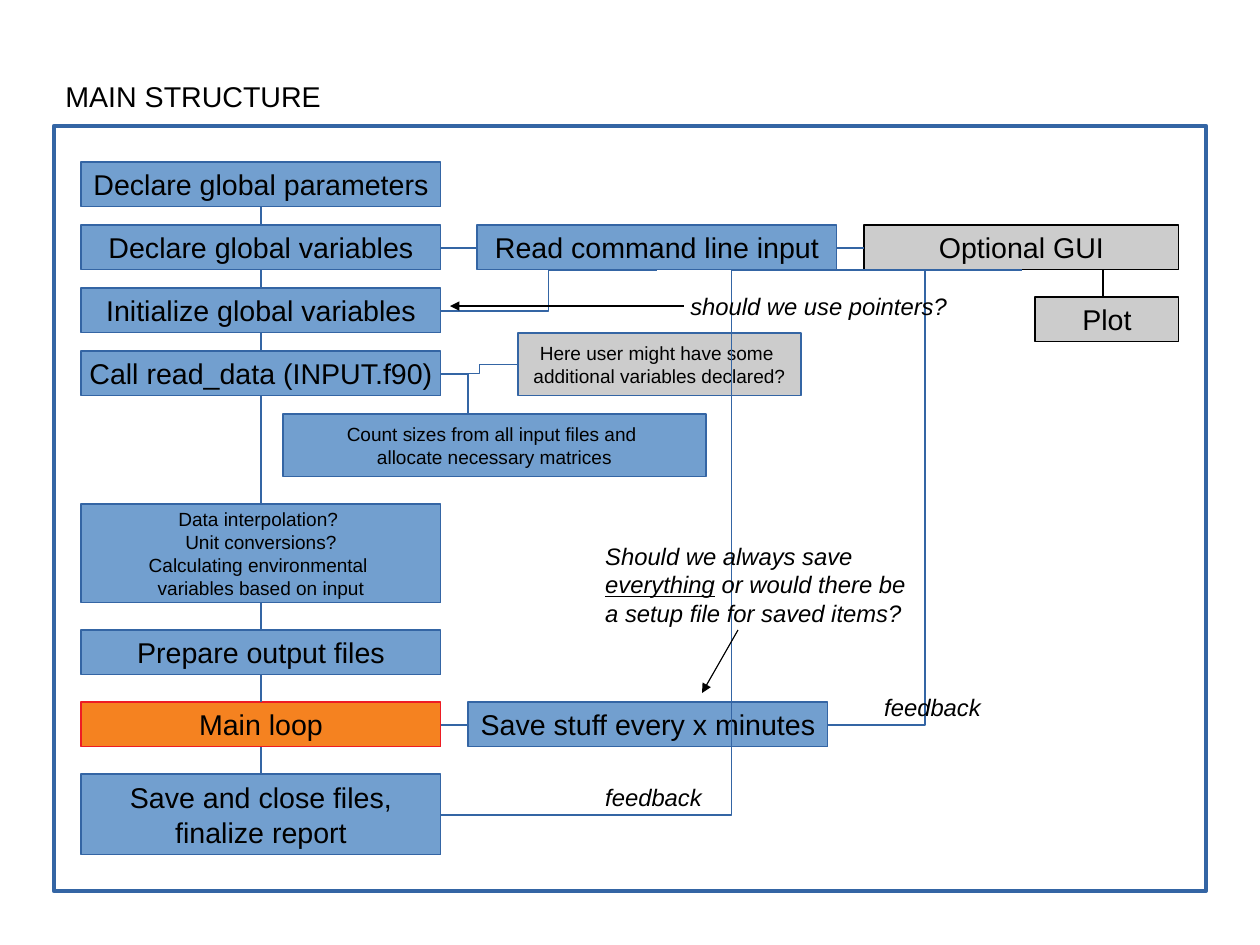
from dataclasses import dataclass

from lxml import etree
from pptx import Presentation
from pptx import util as u
from pptx.dml.color import RGBColor
from pptx.enum import shapes, text
from pptx.oxml import ns

PIXEL = 8000  # EMU per pixel


@dataclass(frozen=True)
class Theme:
    font: str = "Arial"
    ink: RGBColor = RGBColor(0x00, 0x00, 0x00)
    blue: RGBColor = RGBColor(0x72, 0x9F, 0xCF)
    edge: RGBColor = RGBColor(0x34, 0x65, 0xA4)
    grey: RGBColor = RGBColor(0xCC, 0xCC, 0xCC)
    orange: RGBColor = RGBColor(0xF5, 0x82, 0x20)
    red: RGBColor = RGBColor(0xED, 0x1C, 0x24)
    large: int = 18
    note: int = 15
    small: int = 12
    thin: float = 0.75
    thick: float = 2.83


theme = Theme()


def write(frame, words, size=theme.large, align=text.PP_ALIGN.LEFT,
          anchor=text.MSO_ANCHOR.TOP, wrap=True, italic=False, underlined=None):
    """Fill a text frame, one paragraph per line, underlining one word if given."""
    frame.word_wrap = wrap
    frame.auto_size = text.MSO_AUTO_SIZE.NONE
    frame.vertical_anchor = anchor
    for index, line in enumerate(words.split("\n")):
        para = frame.add_paragraph() if index else frame.paragraphs[0]
        para.alignment = align
        for part in line.partition(underlined) if underlined else [line]:
            # A vertical tab marks a line break inside the paragraph
            for number, piece in enumerate(part.split("\v")):
                if number:
                    para.add_line_break()
                span = para.add_run()
                span.text = piece
                span.font.name = theme.font
                span.font.size = u.Pt(size)
                span.font.italic = italic
                span.font.underline = part == underlined
                span.font.color.rgb = theme.ink


def connect(start, end, color=theme.edge, arrow=False):
    """Join two points, with an elbow when they share no row or column."""
    level = start[0] == end[0] or start[1] == end[1]
    kind = shapes.MSO_CONNECTOR.STRAIGHT if level or arrow else shapes.MSO_CONNECTOR.ELBOW
    line = page.shapes.add_connector(kind, *(value * PIXEL for value in (*start, *end)))
    line.line.color.rgb = color
    line.line.width = u.Pt(theme.thin)
    if arrow:
        outline = line.line._get_or_add_ln()
        etree.SubElement(outline, ns.qn("a:tailEnd"), type="triangle")
    etree.SubElement(line._element.spPr, ns.qn("a:effectLst"))


# Page and title
deck = Presentation()
deck.slide_width, deck.slide_height = 1260 * PIXEL, 945 * PIXEL
page = deck.slides.add_slide(deck.slide_layouts[5])
title = page.shapes.title
title.left, title.top, title.width, title.height = (
    value * PIXEL for value in (54, 73, 369, 53))
write(title.text_frame, "MAIN STRUCTURE")

# Outer frame
border = page.shapes.add_shape(
    shapes.MSO_SHAPE.RECTANGLE, *(value * PIXEL for value in (54, 126, 1152, 765)))
border.shadow.inherit = False
border.fill.background()
border.line.color.rgb = theme.edge
border.line.width = u.Pt(theme.thick)

# Main column: words, top, height, type size
LEFT, WIDE, ROW = 81, 360, 45
RIGHT, CENTRE = LEFT + WIDE, LEFT + WIDE // 2
steps = [
    ("Declare global parameters", 162, ROW, theme.large),
    ("Declare global variables", 225, ROW, theme.large),
    ("Initialize global variables", 288, ROW, theme.large),
    ("Call read_data (INPUT.f90)", 351, ROW, theme.large),
    ("Data interpolation? \nUnit conversions?\nCalculating environmental \n"
     "variables based on input", 504, 99, theme.small),
    ("Prepare output files", 630, ROW, theme.large),
    ("Main loop", 702, ROW, theme.large),
    ("Save and close files,\vfinalize report", 774, 81, theme.large),
]

# All boxes: words, left, top, width, height, type size, fill, outline
boxes = [(words, LEFT, top, WIDE, height, size,
          *((theme.orange, theme.red) if words == "Main loop" else (theme.blue, theme.edge)))
         for words, top, height, size in steps]
boxes += [
    ("Read command line input", 477, 225, WIDE, ROW, theme.large, theme.blue, theme.edge),
    ("Save stuff every x minutes", 468, 702, WIDE, ROW, theme.large, theme.blue, theme.edge),
    ("Here user might have some \nadditional variables declared?",
     518, 333, 283, 63, theme.small, theme.grey, theme.edge),
    ("Count sizes from all input files and \nallocate necessary matrices",
     283, 414, 423, 63, theme.small, theme.blue, theme.edge),
    ("Optional GUI", 864, 225, 315, ROW, theme.large, theme.grey, theme.ink),
    ("Plot", 1035, 297, 144, ROW, theme.large, theme.grey, theme.ink),
]
for words, left, top, width, height, size, fill, outline in boxes:
    box = page.shapes.add_shape(
        shapes.MSO_SHAPE.RECTANGLE, *(value * PIXEL for value in (left, top, width, height)))
    box.shadow.inherit = False
    box.fill.solid()
    box.fill.fore_color.rgb = fill
    box.line.color.rgb = outline
    box.line.width = u.Pt(theme.thin)
    write(box.text_frame, words, size, text.PP_ALIGN.CENTER, text.MSO_ANCHOR.MIDDLE, wrap=False)

# Links down the main column
for (_, top, height, _), (_, following, _, _) in zip(steps, steps[1:]):
    connect((CENTRE, top + height), (CENTRE, following))

# Links to the side boxes and feedback loops
for start, end in [
    ((RIGHT, 248), (477, 248)),
    ((657, 270), (RIGHT, 311)),
    ((RIGHT, 374), (518, 365)),
    ((RIGHT, 374), (495, 414)),
    ((837, 248), (864, 248)),
    ((RIGHT, 725), (468, 725)),
    ((RIGHT, 815), (1022, 270)),
    ((828, 725), (1022, 270)),
]:
    connect(start, end)
connect((1103, 270), (1103, 297), theme.ink)

# Arrows from the questions
connect((684, 306), (450, 306), theme.ink, arrow=True)
connect((738, 630), (702, 693), theme.ink, arrow=True)

# Questions and feedback labels
for words, left, top, width, height, underlined in [
    ("should we use pointers?", 679, 286, 302, 64, None),
    ("Should we always save everything or would there be a setup file for saved items?",
     594, 536, 333, 117, "everything"),
    ("feedback", 594, 777, 126, 38, None),
    ("feedback", 873, 687, 126, 38, None),
]:
    note = page.shapes.add_textbox(*(value * PIXEL for value in (left, top, width, height)))
    write(note.text_frame, words, theme.note, italic=True, underlined=underlined)

deck.save("out.pptx")
